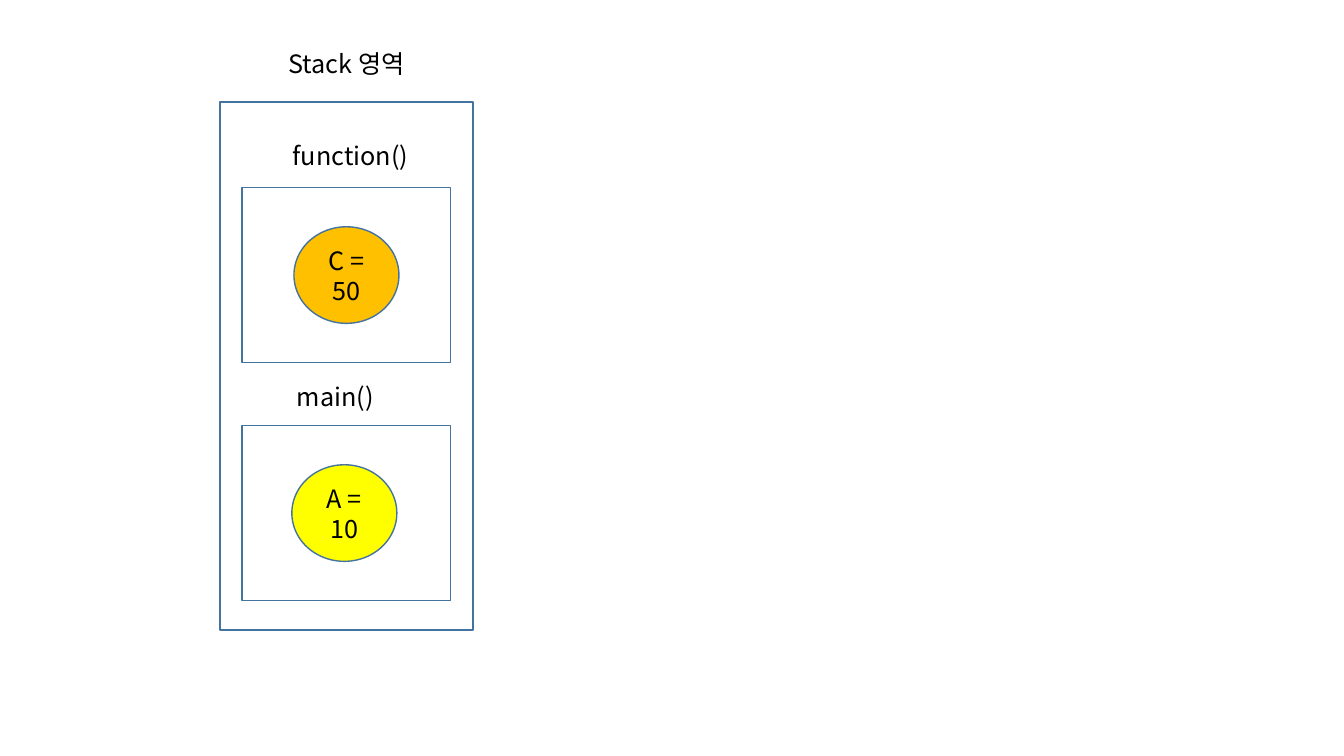
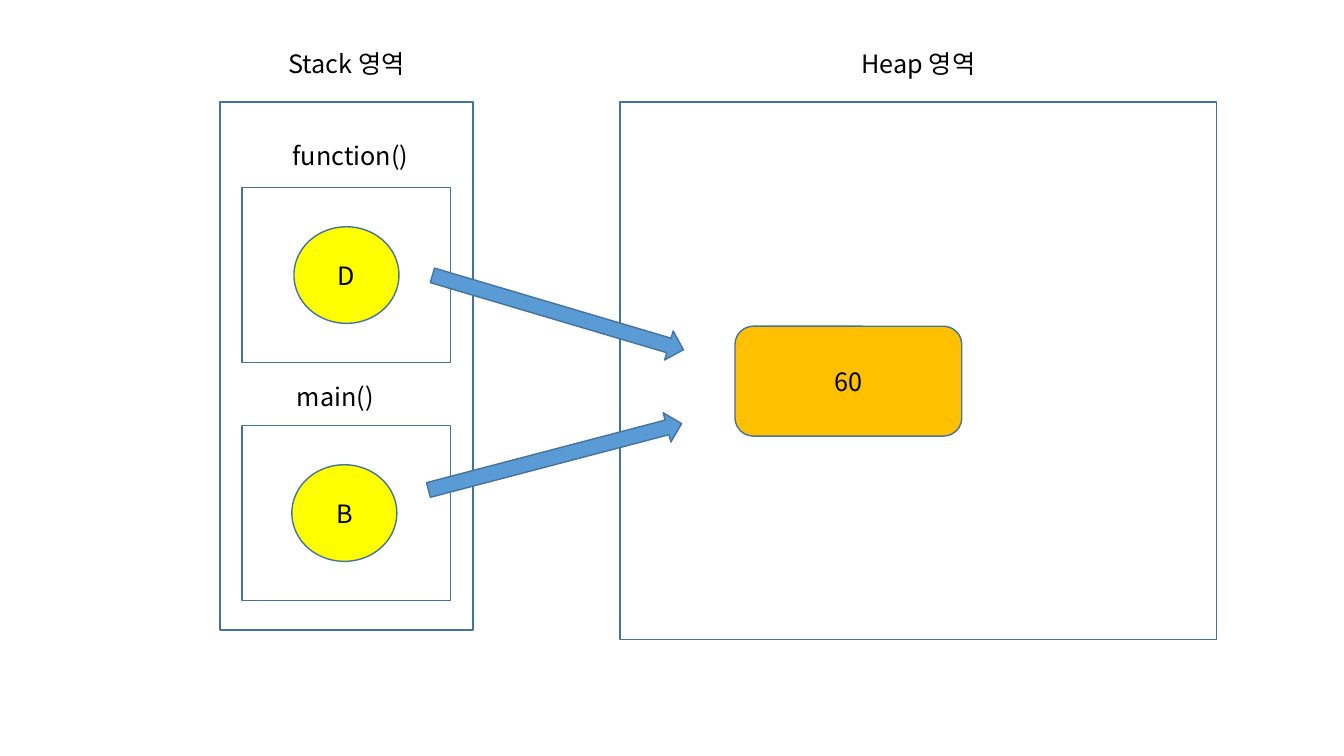
from pptx import Presentation
from pptx.dml.color import RGBColor
from pptx.enum.shapes import MSO_SHAPE as Shape
from pptx.enum.text import MSO_ANCHOR as Anchor, PP_ALIGN as Align
from pptx.oxml.ns import qn
from pptx.util import Pt
from lxml.etree import SubElement

WHITE = RGBColor(0xFF, 0xFF, 0xFF)
BLACK = RGBColor(0x00, 0x00, 0x00)
OUTLINE = RGBColor(0x43, 0x73, 0x9E)
BLUE = RGBColor(0x5B, 0x9B, 0xD5)
AMBER = RGBColor(0xFF, 0xC0, 0x00)
YELLOW = RGBColor(0xFF, 0xFF, 0x00)

FONT = "Noto Sans CJK KR"
LABEL_HEIGHT = 29

# Boxes are (left, top, width, height) in points
STACK_BOX = (157, 73, 181, 377)
HEAP_BOX = (443, 73, 426, 384)


def write_text(shape, text, *, size=18, color=BLACK, align=Align.CENTER, anchor=Anchor.MIDDLE):
    frame = shape.text_frame
    frame.word_wrap = True
    frame.vertical_anchor = anchor
    para = frame.paragraphs[0]
    para.alignment = align
    span = para.add_run()
    span.text = text
    span.font.size = Pt(size)
    span.font.name = FONT
    span.font.color.rgb = color
    # Korean letters take the East Asian typeface
    SubElement(span.font._element, qn("a:ea"), typeface=FONT)


def add_part(page, kind, box, *, fill=WHITE, text=None, rotation=0):
    shape = page.shapes.add_shape(kind, *map(Pt, box))
    shape.shadow.inherit = False
    shape.fill.solid()
    shape.fill.fore_color.rgb = fill
    shape.line.color.rgb = OUTLINE
    shape.line.width = Pt(1)
    shape.rotation = rotation
    if text:
        write_text(shape, text)
    return shape


def add_label(page, box, text, **text_format):
    write_text(page.shapes.add_textbox(*map(Pt, box)), text, **text_format)


def add_region(page, box, heading):
    """Outlined memory area with its heading centred above."""
    left, top, width, height = box
    add_part(page, Shape.RECTANGLE, box)
    heading_width = 226
    add_label(page, (left + (width - heading_width) / 2, top - 42, heading_width, LABEL_HEIGHT),
              heading)


def add_call_frame(page, box, name, variable, fill, *, name_offset, nudge=0):
    """Stack frame of one call: its name above, its variable in the middle."""
    left, top, width, height = box
    add_part(page, Shape.RECTANGLE, box)
    name_left, name_top = name_offset
    add_label(page, (left + name_left, top + name_top, 156, LABEL_HEIGHT), name,
              align=Align.LEFT, anchor=Anchor.TOP)
    oval_width, oval_height = 75, 69
    add_part(page, Shape.OVAL,
             (left + (width - oval_width) / 2 + nudge, top + (height - oval_height) / 2,
              oval_width, oval_height),
             fill=fill, text=variable)


def add_stack(page, box, function_variable, function_fill, main_variable):
    left, top, width, height = box
    frame_width, frame_height = 149, 125
    frame_left = left + (width - frame_width) / 2
    add_region(page, box, "Stack 영역")
    add_call_frame(page, (frame_left, top + 61, frame_width, frame_height),
                   "function()", function_variable, function_fill, name_offset=(29, -37.5))
    add_call_frame(page, (frame_left, top + 231, frame_width, frame_height),
                   "main()", main_variable, YELLOW, name_offset=(32, -35), nudge=-1.5)


def add_heap(page, box, value):
    left, top, width, height = box
    add_region(page, box, "Heap 영역")
    add_part(page, Shape.ROUNDED_RECTANGLE, (left + 82, top + 160, 162, 78.5),
             fill=AMBER, text=value)


def add_references(page, heap_box):
    """Arrows from both stack frames to the shared heap value."""
    left, top, width, height = heap_box
    for dx, dy, angle in ((-138, 139.5, 16.5), (-140, 242.5, 345.3)):
        add_part(page, Shape.RIGHT_ARROW, (left + dx, top + dy, 187, 21.6),
                 fill=BLUE, rotation=angle)


def main():
    deck = Presentation()
    deck.slide_width, deck.slide_height = Pt(960), Pt(540)
    blank = deck.slide_layouts[6]

    # Values kept on the stack
    page = deck.slides.add_slide(blank)
    add_stack(page, STACK_BOX, "C = 50", AMBER, "A = 10")

    # References to one value on the heap
    page = deck.slides.add_slide(blank)
    add_stack(page, STACK_BOX, "D", YELLOW, "B")
    add_heap(page, HEAP_BOX, "60")
    add_references(page, HEAP_BOX)

    deck.save("out.pptx")


if __name__ == "__main__":
    main()
